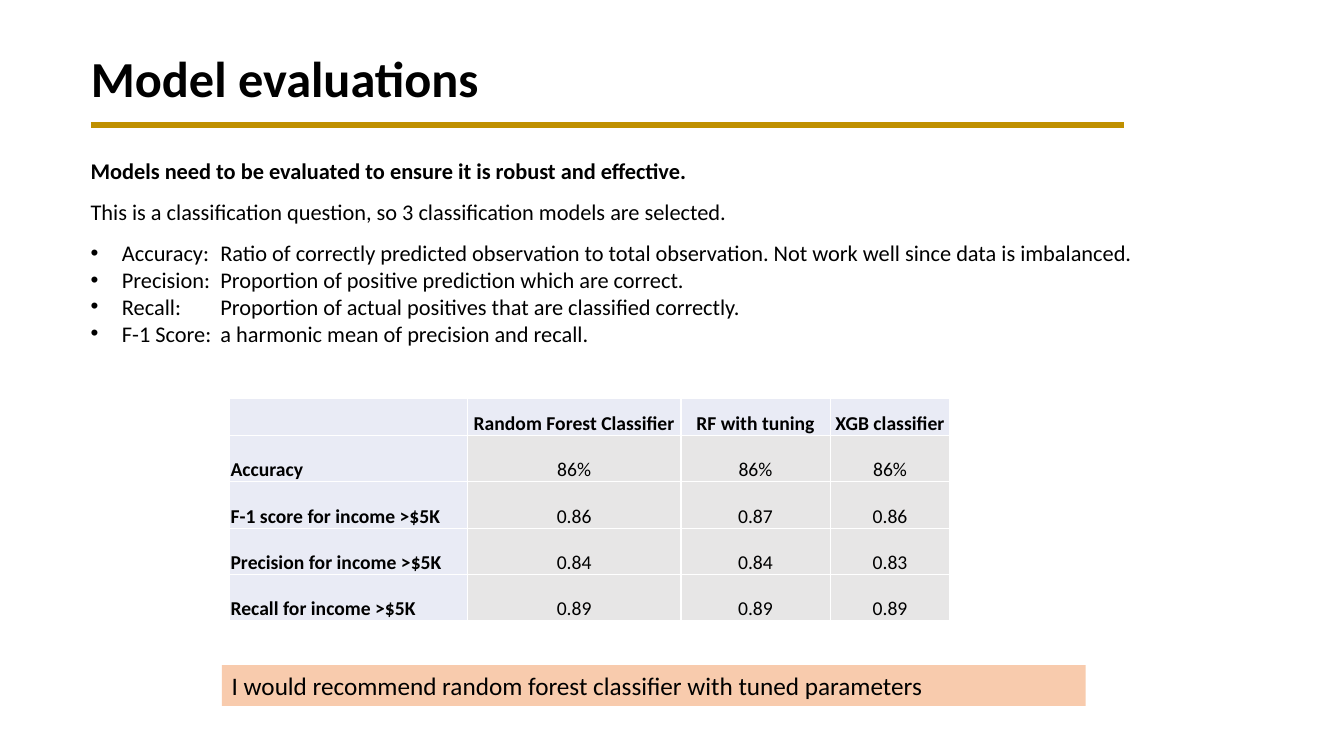
from dataclasses import dataclass

from lxml.etree import SubElement
from pptx import Presentation
from pptx.dml.color import RGBColor
from pptx.enum.shapes import MSO_CONNECTOR, MSO_SHAPE
from pptx.enum.text import MSO_ANCHOR, MSO_AUTO_SIZE, PP_ALIGN
from pptx.oxml import parse_xml
from pptx.oxml.ns import nsdecls, qn
from pptx.util import Cm, Pt

# Content
HEADING = "Model evaluations"
INTRO = [
    ("Models need to be evaluated to ensure it is robust and effective.", True),
    ("This is a classification question, so 3 classification models are selected.", False),
]
METRICS = [
    ("Accuracy:", "Ratio of correctly predicted observation to total observation. "
                  "Not work well since data is imbalanced."),
    ("Precision:", "Proportion of positive prediction which are correct."),
    ("Recall:", "Proportion of actual positives that are classified correctly."),
    ("F-1 Score:", "a harmonic mean of precision and recall."),
]
SCORES = [
    ("", "Random Forest Classifier", "RF with tuning", "XGB classifier"),
    ("Accuracy", "86%", "86%", "86%"),
    ("F-1 score for income >$5K", "0.86", "0.87", "0.86"),
    ("Precision for income >$5K", "0.84", "0.84", "0.83"),
    ("Recall for income >$5K", "0.89", "0.89", "0.89"),
]
RECOMMENDATION = "I would recommend random forest classifier with tuned parameters"


@dataclass(frozen=True)
class Theme:
    font: str = "Calibri"
    ink: str = "000000"
    rule: str = "BF9000"
    label_fill: str = "E9EBF5"
    score_fill: str = "E7E6E6"
    border: str = "FFFFFF"
    callout_fill: str = "F8CBAD"
    heading_size: int = 36
    callout_size: int = 18
    body_size: int = 16
    table_size: int = 14
    gap: int = 10


THEME = Theme()

# Layout
LEFT = Cm(2.29)
RULE_Y = Cm(3.15)
RULE_END = Cm(28.32)
HANG = Cm(0.79)
DEFINITION_TAB = Cm(3.27)
COLUMN_WIDTHS = [Cm(5.99), Cm(5.38), Cm(3.76), Cm(3.02)]
HEADER_HEIGHT, SCORE_HEIGHT = Cm(0.94), Cm(1.17)


def rgb(value):
    return RGBColor.from_string(value)


def format_runs(paragraph, size, bold=False):
    for run in paragraph.runs:
        run.font.name = THEME.font
        run.font.size = Pt(size)
        run.font.bold = bold
        run.font.color.rgb = rgb(THEME.ink)


def place(shape, left, top, width, height):
    shape.left, shape.top, shape.width, shape.height = left, top, width, height


def add_heading(slide):
    title = slide.shapes.title
    place(title, LEFT, Cm(0.76), Cm(17.35), Cm(2.11))
    frame = title.text_frame
    frame.text = HEADING
    frame.auto_size = MSO_AUTO_SIZE.NONE
    frame.vertical_anchor = MSO_ANCHOR.BOTTOM
    frame.margin_left = frame.margin_right = 0
    paragraph = frame.paragraphs[0]
    paragraph.alignment = PP_ALIGN.LEFT
    paragraph.line_spacing = 0.9
    format_runs(paragraph, THEME.heading_size, True)

    rule = slide.shapes.add_connector(MSO_CONNECTOR.STRAIGHT, LEFT, RULE_Y, RULE_END, RULE_Y)
    rule.line.color.rgb = rgb(THEME.rule)
    rule.line.width = Pt(4)
    SubElement(rule._element.spPr, qn("a:effectLst"))


def set_bullet(paragraph, bulleted):
    properties = paragraph._p.get_or_add_pPr()
    properties.set("marL", str(HANG if bulleted else 0))
    properties.set("indent", str(-HANG if bulleted else 0))
    if bulleted:
        SubElement(properties, qn("a:buFont"), typeface="Arial")
        SubElement(properties, qn("a:buChar"), char="•")
        tabs = SubElement(properties, qn("a:tabLst"))
        SubElement(tabs, qn("a:tab"), pos=str(DEFINITION_TAB), algn="l")
    else:
        SubElement(properties, qn("a:buNone"))


def add_body(slide):
    body = slide.placeholders[1]
    place(body, Cm(2.03), Cm(3.84), Cm(27.91), Cm(5.05))
    frame = body.text_frame
    lines = [(text, bold, False) for text, bold in INTRO]
    lines += [(f"{name}\t{meaning}", False, True) for name, meaning in METRICS]
    frame.text = "\n".join(text for text, _, _ in lines)
    frame.auto_size = MSO_AUTO_SIZE.NONE
    for index, (paragraph, (_, bold, bulleted)) in enumerate(zip(frame.paragraphs, lines)):
        set_bullet(paragraph, bulleted)
        opens_group = 0 < index <= len(INTRO)
        paragraph.space_before = Pt(THEME.gap if opens_group else 0)
        format_runs(paragraph, THEME.body_size, bold)


def add_borders(cell):
    properties = cell._tc.get_or_add_tcPr()
    for position, side in enumerate(("lnL", "lnR", "lnT", "lnB")):
        properties.insert(position, parse_xml(
            f'<a:{side} {nsdecls("a")} w="12700"><a:solidFill>'
            f'<a:srgbClr val="{THEME.border}"/></a:solidFill></a:{side}>'))


def add_scores(slide):
    height = HEADER_HEIGHT + SCORE_HEIGHT * (len(SCORES) - 1)
    table = slide.shapes.add_table(len(SCORES), len(COLUMN_WIDTHS), Cm(5.79), Cm(10.03),
                                   sum(COLUMN_WIDTHS), height).table
    for column, width in zip(table.columns, COLUMN_WIDTHS):
        column.width = width
    for r, values in enumerate(SCORES):
        table.rows[r].height = SCORE_HEIGHT if r else HEADER_HEIGHT
        for c, value in enumerate(values):
            cell = table.cell(r, c)
            is_label = r == 0 or c == 0
            cell.text = value
            cell.vertical_anchor = MSO_ANCHOR.BOTTOM
            cell.margin_left = cell.margin_right = cell.margin_top = Cm(0.02)
            cell.margin_bottom = 0
            cell.fill.solid()
            cell.fill.fore_color.rgb = rgb(THEME.label_fill if is_label else THEME.score_fill)
            add_borders(cell)
            paragraph = cell.text_frame.paragraphs[0]
            paragraph.alignment = PP_ALIGN.CENTER if c else PP_ALIGN.LEFT
            format_runs(paragraph, THEME.table_size, is_label)


def add_recommendation(slide):
    callout = slide.shapes.add_shape(MSO_SHAPE.RECTANGLE, Cm(5.59), Cm(16.76), Cm(21.77), Cm(1.03))
    callout.shadow.inherit = False
    callout.fill.solid()
    callout.fill.fore_color.rgb = rgb(THEME.callout_fill)
    callout.line.fill.background()
    frame = callout.text_frame
    frame.text = RECOMMENDATION
    frame.word_wrap = True
    frame.vertical_anchor = MSO_ANCHOR.TOP
    frame.paragraphs[0].alignment = PP_ALIGN.LEFT
    format_runs(frame.paragraphs[0], THEME.callout_size)


def main():
    deck = Presentation()
    deck.slide_width, deck.slide_height = Cm(33.87), Cm(19.05)
    slide = deck.slides.add_slide(deck.slide_layouts[1])
    add_heading(slide)
    add_body(slide)
    add_scores(slide)
    add_recommendation(slide)
    deck.save("out.pptx")


if __name__ == "__main__":
    main()
